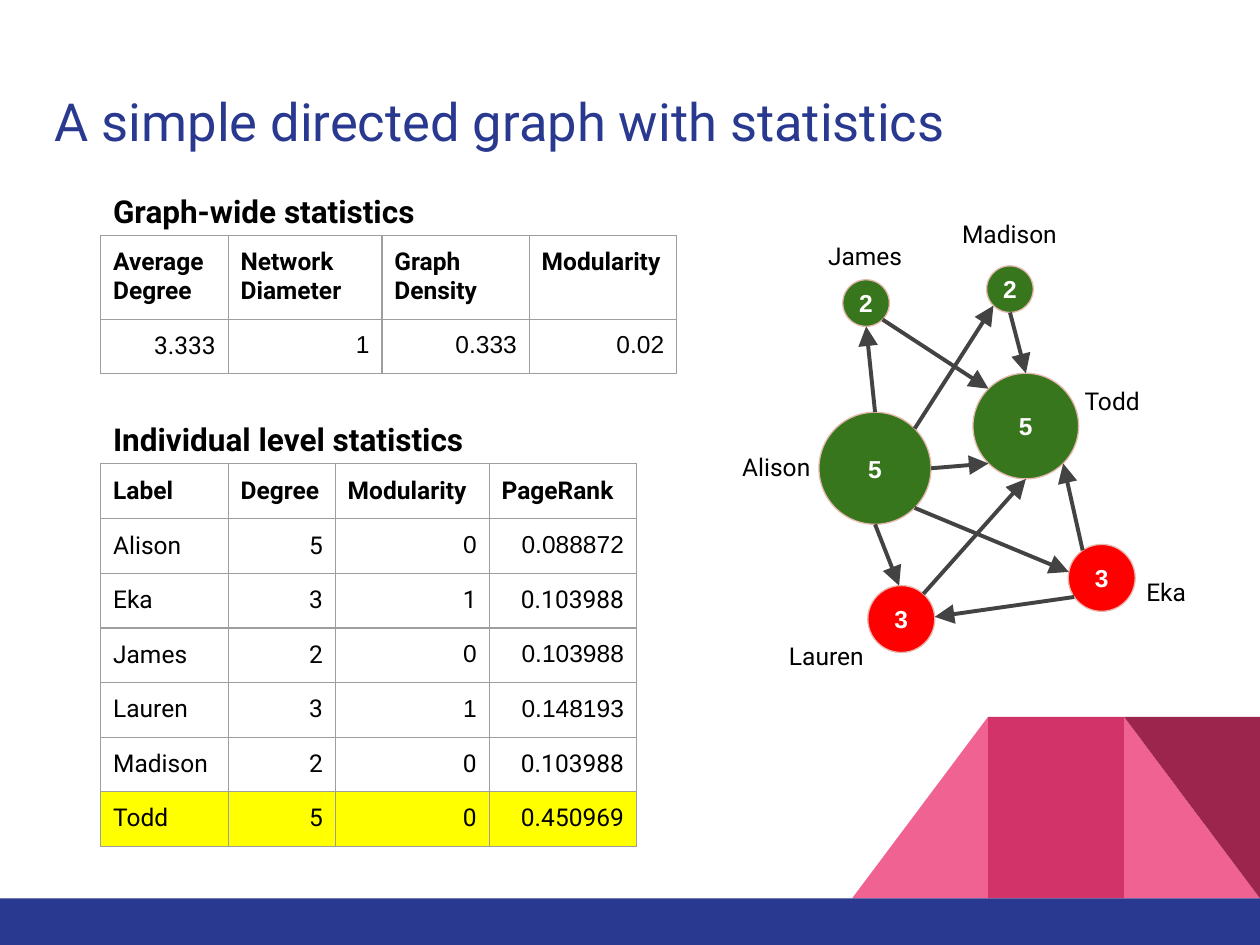
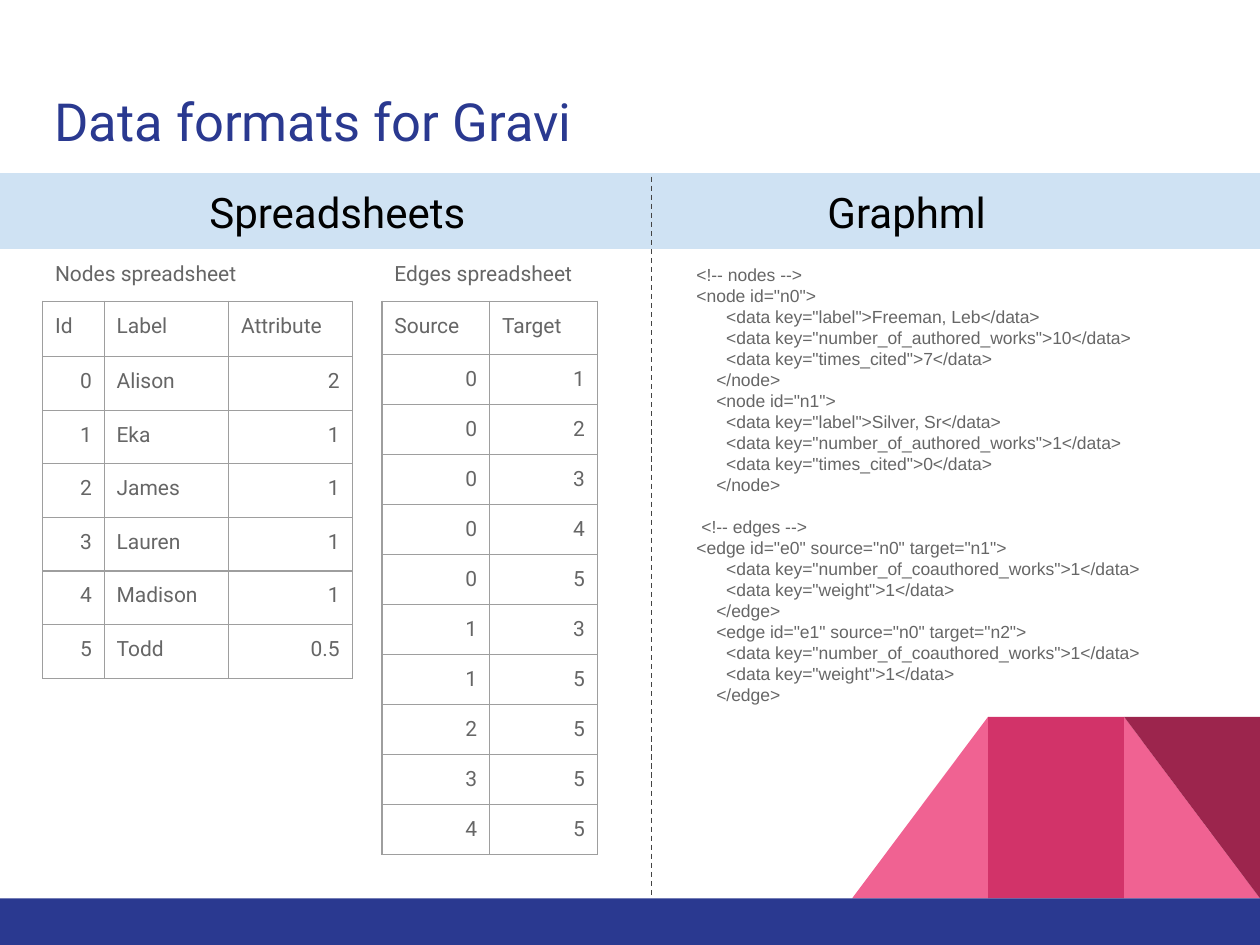
from dataclasses import dataclass
from itertools import product
from math import cos, radians, sin

from lxml import etree
from pptx import Presentation
from pptx.dml.color import RGBColor
from pptx.enum import dml, shapes, text
from pptx.oxml import ns
from pptx.util import Cm, Pt

NAVY = RGBColor(0x2A, 0x39, 0x90)
PINK = RGBColor(0xF0, 0x62, 0x92)
ROSE = RGBColor(0xD2, 0x33, 0x69)
WINE = RGBColor(0x9C, 0x25, 0x4D)
SKY = RGBColor(0xCF, 0xE2, 0xF3)
GREEN = RGBColor(0x38, 0x76, 0x1D)
RED = RGBColor(0xFF, 0x00, 0x00)
PEACH = RGBColor(0xE6, 0xB8, 0xAF)
YELLOW = RGBColor(0xFF, 0xFF, 0x00)
BLACK = RGBColor(0x00, 0x00, 0x00)
WHITE = RGBColor(0xFF, 0xFF, 0xFF)
GREY = RGBColor(0x66, 0x66, 0x66)
DARK = RGBColor(0x43, 0x43, 0x43)
RULE = "9E9E9E"

WIDE, HIGH = 25.4, 19.05
FOOT = 18.11
INSET = Cm(0.25)
KIND = shapes.MSO_SHAPE
ALIGN = text.PP_ALIGN
MID = text.MSO_ANCHOR.MIDDLE
TOP = text.MSO_ANCHOR.TOP


@dataclass(frozen=True)
class Node:
    name: str
    x: float
    y: float
    size: float
    color: RGBColor
    degree: int
    tag: tuple[float, float]
    turn: float = 0

    def site(self, step: int) -> tuple[float, float]:
        angle = radians(45 * step + self.turn)
        half = self.size / 2
        return self.x + half * sin(angle), self.y - half * cos(angle)


@dataclass(frozen=True)
class Edge:
    start: str
    out: int
    end: str
    into: int


@dataclass(frozen=True)
class Grid:
    x: float
    y: float
    cols: tuple[float, ...]
    head: float
    row: float
    cells: list[list[str]]
    size: int = 14
    color: RGBColor = BLACK
    bold: bool = True
    arial: frozenset = frozenset()
    mark: int = -1


NODES = [
    Node("Todd", 20.68, 8.59, 2.13, GREEN, 5, (22.42, 7.54)),
    Node("Madison", 20.36, 5.83, 0.94, GREEN, 2, (20.35, 4.17)),
    Node("Alison", 17.64, 9.44, 2.26, GREEN, 5, (15.65, 8.86)),
    Node("James", 17.46, 6.11, 0.94, GREEN, 2, (17.44, 4.6)),
    Node("Lauren", 18.17, 12.48, 1.35, RED, 3, (16.66, 12.67), -3.8),
    Node("Eka", 22.21, 11.65, 1.35, RED, 3, (23.51, 11.38), 10.3),
]

EDGES = [
    Edge("Alison", 0, "James", 4),
    Edge("Alison", 1, "Madison", 5),
    Edge("Alison", 2, "Todd", 5),
    Edge("Alison", 4, "Lauren", 0),
    Edge("Alison", 3, "Eka", 6),
    Edge("Eka", 5, "Lauren", 2),
    Edge("Eka", 7, "Todd", 3),
    Edge("James", 3, "Todd", 7),
    Edge("Lauren", 1, "Todd", 4),
    Edge("Madison", 4, "Todd", 0),
]

PEOPLE = Grid(2.03, 9.35, (2.57, 2.16, 3.1, 2.97), 1.11, 1.1, [
    ["Label", "Degree", "Modularity", "PageRank"],
    ["Alison", "5", "0", "0.088872"],
    ["Eka", "3", "1", "0.103988"],
    ["James", "2", "0", "0.103988"],
    ["Lauren", "3", "1", "0.148193"],
    ["Madison", "2", "0", "0.103988"],
    ["Todd", "5", "0", "0.450969"],
], arial=frozenset(product((1, 3, 4), (2, 3))), mark=6)

WHOLE = Grid(2.03, 4.75, (2.57, 3.1, 2.97, 2.97), 1.68, 1.1, [
    ["Average Degree", "Network Diameter", "Graph Density", "Modularity"],
    ["3.333", "1", "0.333", "0.02"],
], arial=frozenset(product((1,), (1, 2, 3))))

POINTS = Grid(0.86, 6.07, (1.24, 2.51, 2.49), 1.12, 1.08, [
    ["Id", "Label", "Attribute"],
    ["0", "Alison", "2"],
    ["1", "Eka", "1"],
    ["2", "James", "1"],
    ["3", "Lauren", "1"],
    ["4", "Madison", "1"],
    ["5", "Todd", "0.5"],
], 12, GREY, False)

LINKS = Grid(7.7, 6.07, (2.17, 2.17), 1.07, 1.0, [
    ["Source", "Target"],
    *([a, b] for a, b in ("01", "02", "03", "04", "05",
                          "13", "15", "25", "35", "45")),
], 12, GREY, False)

CODE = [
    (0, '<!-- nodes -->'),
    (0, '<node id="n0">'),
    (6, '<data key="label">Freeman, Leb</data>'),
    (6, '<data key="number_of_authored_works">10</data>'),
    (6, '<data key="times_cited">7</data>'),
    (4, '</node>'),
    (4, '<node id="n1">'),
    (6, '<data key="label">Silver, Sr</data>'),
    (6, '<data key="number_of_authored_works">1</data>'),
    (6, '<data key="times_cited">0</data>'),
    (4, '</node>'),
    (1, '<!-- edges -->'),
    (0, '<edge id="e0" source="n0" target="n1">'),
    (6, '<data key="number_of_coauthored_works">1</data>'),
    (6, '<data key="weight">1</data>'),
    (4, '</edge>'),
    (4, '<edge id="e1" source="n0" target="n2">'),
    (6, '<data key="number_of_coauthored_works">1</data>'),
    (6, '<data key="weight">1</data>'),
    (4, '</edge>'),
]


def write(para, words: str, *, size: int = 14, font: str = "Roboto",
          color: RGBColor = BLACK, bold: bool = False, align=ALIGN.LEFT) -> None:
    para.alignment = align
    run = para.add_run()
    run.text = words
    run.font.size = Pt(size)
    run.font.name = font
    run.font.bold = bold
    run.font.color.rgb = color


def pad(item, inset) -> None:
    item.margin_left = item.margin_right = inset
    item.margin_top = item.margin_bottom = inset


def frame(slide, x: float, y: float, w: float, h: float, anchor=TOP):
    body = slide.shapes.add_textbox(Cm(x), Cm(y), Cm(w), Cm(h)).text_frame
    body.word_wrap = True
    body.vertical_anchor = anchor
    pad(body, INSET)
    return body


def label(slide, words: str, x: float, y: float, w: float, h: float, **form) -> None:
    write(frame(slide, x, y, w, h).paragraphs[0], words, **form)


def block(slide, kind, x: float, y: float, w: float, h: float,
          fill: RGBColor, edge: RGBColor | None = None):
    shape = slide.shapes.add_shape(kind, Cm(x), Cm(y), Cm(w), Cm(h))
    shape.shadow.inherit = False
    shape.fill.solid()
    shape.fill.fore_color.rgb = fill
    if edge is None:
        shape.line.fill.background()
    else:
        shape.line.color.rgb = edge
        shape.line.width = Pt(0.75)
    return shape


def stroke(slide, start: tuple[float, float], end: tuple[float, float], width: float):
    line = slide.shapes.add_connector(
        shapes.MSO_CONNECTOR.STRAIGHT, *(Cm(v) for v in (*start, *end)))
    line.line.color.rgb = DARK
    line.line.width = Pt(width)
    etree.SubElement(line.element.spPr, ns.qn("a:effectLst"))
    return line


def arrow(slide, edge: Edge, nodes: dict[str, Node]) -> None:
    line = stroke(slide, nodes[edge.start].site(edge.out),
                  nodes[edge.end].site(edge.into), 2.25)
    etree.SubElement(line.line._get_or_add_ln(), ns.qn("a:tailEnd"),
                     type="triangle", w="lg", len="lg")


def circle(slide, node: Node) -> None:
    half = node.size / 2
    shape = block(slide, KIND.OVAL, node.x - half, node.y - half,
                  node.size, node.size, node.color, PEACH)
    body = shape.text_frame
    body.word_wrap = False
    body.vertical_anchor = MID
    pad(body, 0)
    write(body.paragraphs[0], str(node.degree), font="Arial",
          color=WHITE, bold=True, align=ALIGN.CENTER)
    x, y = node.tag
    label(slide, node.name, x - 1.25, y, 2.5, 1.07, align=ALIGN.CENTER)


def border(cell) -> None:
    props = cell._tc.get_or_add_tcPr()
    for side in ("lnL", "lnR", "lnT", "lnB"):
        line = etree.SubElement(props, ns.qn(f"a:{side}"), w=str(Pt(0.75)))
        fill = etree.SubElement(line, ns.qn("a:solidFill"))
        etree.SubElement(fill, ns.qn("a:srgbClr"), val=RULE)


def table(slide, grid: Grid) -> None:
    count = len(grid.cells)
    high = grid.head + grid.row * (count - 1)
    data = slide.shapes.add_table(count, len(grid.cols), Cm(grid.x), Cm(grid.y),
                                  Cm(sum(grid.cols)), Cm(high)).table
    data.first_row = data.horz_banding = False
    for col, width in zip(data.columns, grid.cols):
        col.width = Cm(width)
    for r, line in enumerate(grid.cells):
        data.rows[r].height = Cm(grid.row if r else grid.head)
        for c, words in enumerate(line):
            cell = data.cell(r, c)
            pad(cell, INSET)
            border(cell)
            if r == grid.mark:
                cell.fill.solid()
                cell.fill.fore_color.rgb = YELLOW
            else:
                cell.fill.background()
            write(cell.text_frame.paragraphs[0], words, size=grid.size,
                  font="Arial" if (r, c) in grid.arial else "Roboto",
                  color=grid.color, bold=grid.bold and r == 0,
                  align=ALIGN.RIGHT if words[0].isdigit() else ALIGN.LEFT)


def base(deck, title: str):
    slide = deck.slides.add_slide(deck.slide_layouts[6])
    w, h = 2.74, 3.66
    left, mid, right = (WIDE - w * n for n in (3, 2, 1))
    y = FOOT - h
    block(slide, KIND.RIGHT_TRIANGLE, right, y, w, h, PINK)
    slope = block(slide, KIND.RIGHT_TRIANGLE, left, y, w, h, PINK)
    slope.element.spPr.get_or_add_xfrm().set("flipH", "1")
    block(slide, KIND.RECTANGLE, mid, y, w, h, ROSE)
    block(slide, KIND.RIGHT_TRIANGLE, right, y, w, h, WINE).rotation = 180
    block(slide, KIND.RECTANGLE, 0, FOOT, WIDE, HIGH - FOOT, NAVY)
    label(slide, title, 0.85, 1.55, 23.67, 2.26, size=30, color=NAVY)
    return slide


def stats(deck) -> None:
    slide = base(deck, "A simple directed graph with statistics")
    for node in NODES:
        circle(slide, node)
    named = {node.name: node for node in NODES}
    for edge in EDGES:
        arrow(slide, edge, named)
    for grid, words in ((PEOPLE, "Individual level statistics"),
                        (WHOLE, "Graph-wide statistics")):
        table(slide, grid)
        label(slide, words, grid.x, grid.y - 1.13, 7.75, 0.91, size=18, bold=True)


def formats(deck) -> None:
    slide = base(deck, "Data formats for Gravi")
    block(slide, KIND.RECTANGLE, 0, 3.51, WIDE, 1.5, SKY, SKY)
    for words, x in (("Spreadsheets", 3.84), ("Graphml", 15.32)):
        label(slide, words, x, 3.51, 5.92, 1.5, size=24, align=ALIGN.CENTER)
    for grid, words in ((POINTS, "Nodes spreadsheet"), (LINKS, "Edges spreadsheet")):
        table(slide, grid)
        label(slide, words, grid.x, 5.0, 4.47, 0.91, size=12, color=GREY)
    body = frame(slide, 13.79, 5.0, 9.91, 9.53, MID)
    for n, (depth, words) in enumerate(CODE):
        para = body.add_paragraph() if n else body.paragraphs[0]
        para.line_spacing = Pt(12)
        para._p.get_or_add_pPr().set("marL", str(Cm(0.1 * depth)))
        if words == "<!-- edges -->":
            para.space_before = Pt(12)
        write(para, words, size=10, font="Arial", color=GREY)
    split = stroke(slide, (13.13, 3.56), (13.13, FOOT), 0.75)
    split.line.dash_style = dml.MSO_LINE.DASH


def main() -> None:
    deck = Presentation()
    deck.slide_width, deck.slide_height = Cm(WIDE), Cm(HIGH)
    stats(deck)
    formats(deck)
    deck.save("out.pptx")


if __name__ == "__main__":
    main()
